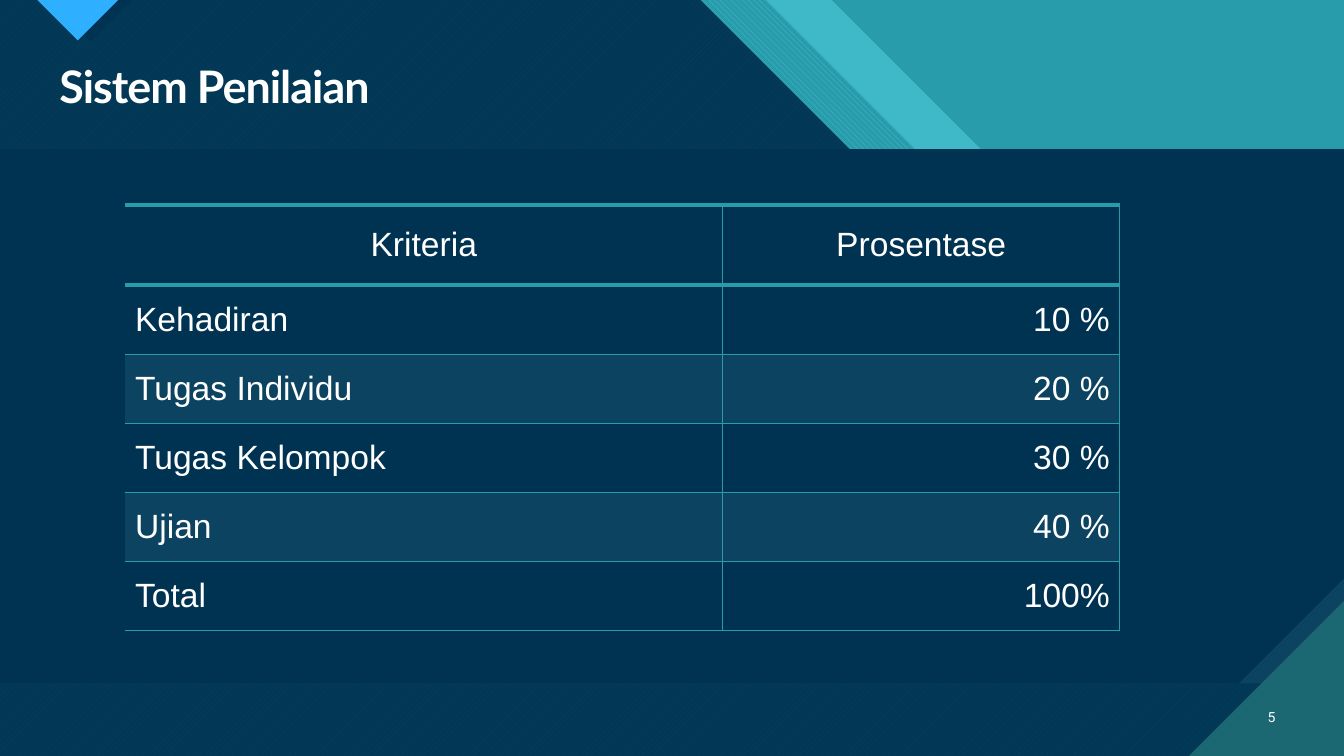
from lxml.etree import SubElement
from pptx import Presentation
from pptx.dml.color import RGBColor
from pptx.enum.dml import MSO_PATTERN
from pptx.enum.shapes import MSO_SHAPE
from pptx.enum.text import MSO_ANCHOR, MSO_AUTO_SIZE, PP_ALIGN
from pptx.oxml.ns import qn
from pptx.util import Cm, Pt

WIDTH, HEIGHT = 33.87, 19.05
HEADER_BOTTOM, PANEL_BOTTOM = 3.76, 17.22
SNIP = 2.65
CORNER = 3.91
NAVY, SLATE, TEAL, AQUA = "003352", "0C4360", "299CAB", "47C3D3"
DEEP_TEAL, BLUE, WHITE = "1B6872", "2FAFFF", "FFFFFF"

ROWS = [
    ("Kriteria", "Prosentase"),
    ("Kehadiran", "10 %"),
    ("Tugas Individu", "20 %"),
    ("Tugas Kelompok", "30 %"),
    ("Ujian", "40 %"),
    ("Total", "100%"),
]


def color(value):
    return RGBColor.from_string(value)


def apply_format(target, values):
    for name, value in values.items():
        setattr(target, name, value)


def paint(fill, value):
    fill.solid()
    fill.fore_color.rgb = color(value)


def finish(shape, value, opacity=100):
    shape.shadow.inherit = False
    shape.line.fill.background()
    paint(shape.fill, value)
    if opacity < 100:
        fill_color = next(shape.element.iter(qn("a:srgbClr")))
        SubElement(fill_color, qn("a:alpha"), val=str(opacity * 1000))


def add_polygon(slide, points, value, opacity=100):
    corners = [(Cm(x), Cm(y)) for x, y in points]
    builder = slide.shapes.build_freeform(*corners[0], scale=1.0)
    builder.add_line_segments(corners[1:], close=True)
    shape = builder.convert_to_shape()
    finish(shape, value, opacity)
    return shape


def add_band(slide, edge, value, opacity=100, pattern=None, back=None):
    points = [
        (0, 0), (edge, 0), (edge + HEADER_BOTTOM, HEADER_BOTTOM),
        (WIDTH, HEADER_BOTTOM), (WIDTH, HEIGHT), (0, HEIGHT),
    ]
    shape = add_polygon(slide, points, value, opacity)
    if pattern is not None:
        shape.fill.patterned()
        shape.fill.pattern = pattern
        shape.fill.fore_color.rgb = color(value)
        shape.fill.back_color.rgb = color(back)


def add_pointer(slide, center, half_width, value):
    points = [(center - half_width, 0), (center + half_width, 0), (center, half_width)]
    add_polygon(slide, points, value)


def add_panel(slide):
    back = slide.shapes.add_shape(
        MSO_SHAPE.RECTANGLE, 0, Cm(HEADER_BOTTOM),
        Cm(WIDTH), Cm(PANEL_BOTTOM - HEADER_BOTTOM))
    finish(back, SLATE)
    add_polygon(slide, [
        (0, HEADER_BOTTOM), (WIDTH, HEADER_BOTTOM), (WIDTH, PANEL_BOTTOM - SNIP),
        (WIDTH - SNIP, PANEL_BOTTOM), (0, PANEL_BOTTOM),
    ], NAVY)
    add_polygon(slide, [
        (WIDTH - CORNER, HEIGHT), (WIDTH, HEIGHT), (WIDTH, HEIGHT - CORNER),
    ], DEEP_TEAL)


def write(frame, text, font, size, alignment, bold=False):
    paragraph = frame.paragraphs[0]
    paragraph.alignment = alignment
    run = paragraph.add_run()
    run.text = text
    apply_format(run.font, {"name": font, "size": Pt(size), "bold": bold})
    run.font.color.rgb = color(WHITE)
    return paragraph


def add_title(slide, text):
    title = slide.shapes.title
    title.element.getparent().append(title.element)
    apply_format(title, {
        "left": Cm(1.24), "top": Cm(1.5), "width": Cm(31.14), "height": Cm(1.5)})
    apply_format(title.text_frame, {
        "auto_size": MSO_AUTO_SIZE.NONE, "vertical_anchor": MSO_ANCHOR.MIDDLE,
        "margin_top": 0, "margin_bottom": 0, "word_wrap": True})
    paragraph = write(title.text_frame, text, "Lato", 32, PP_ALIGN.LEFT, True)
    paragraph.line_spacing = 0.9
    next(title.element.iter(qn("a:rPr"))).set("spc", "-70")


def add_border(properties, side, width):
    line = SubElement(properties, qn("a:" + side), w=str(Pt(width)))
    if width:
        fill = SubElement(line, qn("a:solidFill"))
        SubElement(fill, qn("a:srgbClr"), val=TEAL)
    else:
        SubElement(line, qn("a:noFill"))


def add_score_table(slide):
    frame = slide.shapes.add_table(
        len(ROWS), 2, Cm(3.15), Cm(5.16), Cm(25.07), Cm(10.73))
    table = frame.table
    apply_format(table, {"first_row": False, "horz_banding": False})
    for column, width in zip(table.columns, (15.06, 10.01)):
        column.width = Cm(width)
    for index, row in enumerate(table.rows):
        row.height = Cm(1.74 if index else 2.03)
    for index, values in enumerate(ROWS):
        for position, text in enumerate(values):
            cell = table.cell(index, position)
            cell.vertical_anchor = MSO_ANCHOR.MIDDLE
            side = PP_ALIGN.RIGHT if position else PP_ALIGN.LEFT
            write(cell.text_frame, text, "Arial", 24, side if index else PP_ALIGN.CENTER)
    for number, properties in enumerate(frame.element.iter(qn("a:tcPr"))):
        index, position = divmod(number, 2)
        borders = {
            "lnL": position, "lnR": 1,
            "lnT": 3 if index < 2 else 1, "lnB": 1 if index else 3}
        for side, width in borders.items():
            add_border(properties, side, width)
        fill = table.cell(index, position).fill
        if index in (2, 4):
            paint(fill, SLATE)
        else:
            fill.background()


def add_page_number(slide, text):
    box = slide.shapes.add_textbox(Cm(31.27), Cm(17.55), Cm(1.12), Cm(1.02))
    apply_format(box.text_frame, {
        "word_wrap": True, "vertical_anchor": MSO_ANCHOR.MIDDLE})
    write(box.text_frame, text, "Roboto", 10, PP_ALIGN.RIGHT)


def main():
    presentation = Presentation()
    apply_format(presentation, {"slide_width": Cm(WIDTH), "slide_height": Cm(HEIGHT)})
    slide = presentation.slides.add_slide(presentation.slide_layouts[5])
    paint(slide.background.fill, TEAL)
    add_band(slide, 20.96, AQUA, opacity=74)
    add_band(slide, 19.3, AQUA, pattern=MSO_PATTERN.WIDE_DOWNWARD_DIAGONAL, back=TEAL)
    add_band(slide, 17.65, AQUA, pattern=MSO_PATTERN.WIDE_UPWARD_DIAGONAL, back=DEEP_TEAL)
    add_band(slide, 17.65, NAVY, opacity=90)
    add_pointer(slide, 2.28, 1.05, NAVY)
    add_pointer(slide, 1.96, 1.02, BLUE)
    add_panel(slide)
    add_title(slide, "Sistem Penilaian")
    add_score_table(slide)
    add_page_number(slide, "5")
    presentation.save("out.pptx")


if __name__ == "__main__":
    main()
